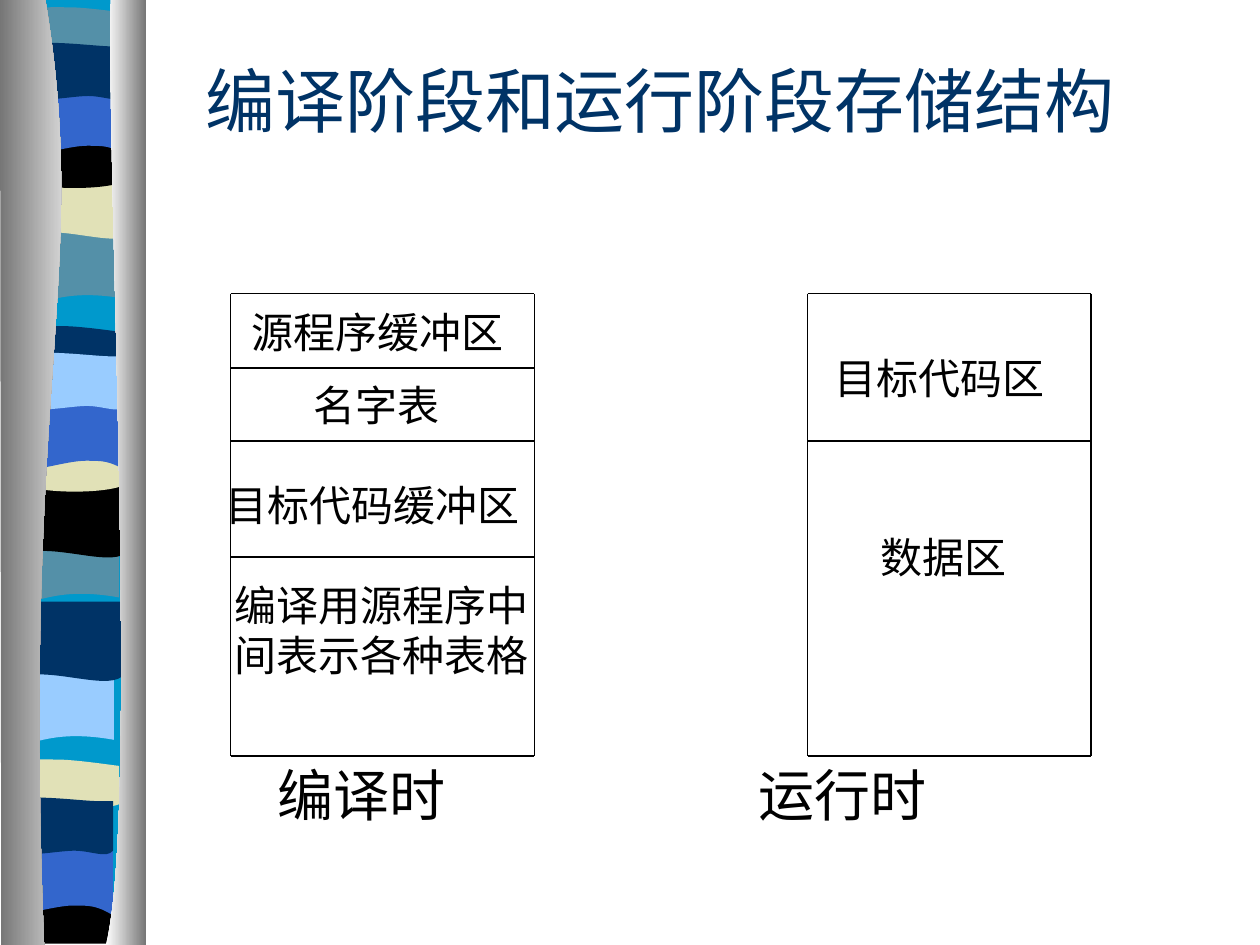
from lxml.etree import SubElement
from pptx import Presentation
from pptx.dml.color import RGBColor
from pptx.enum.shapes import MSO_CONNECTOR as Connector, MSO_SHAPE as Preset
from pptx.enum.text import MSO_ANCHOR as Anchor, PP_ALIGN as Align
from pptx.oxml.ns import qn
from pptx.util import Pt

PX = 9144
COLORS = {
    "cyan": "0099CC", "teal": "5490A8", "sand": "E1E1B7", "black": "000000",
    "blue": "3366CC", "navy": "003366", "sky": "99CCFF", "white": "FFFFFF",
    "gray": "767676",
}
FORMS = {
    "sag": [(108, 0), [(108, 47)], [(33, 39), (18, 55), (0, 47)], [(0, 0)]],
    "roll": [(108, 0), [(108, 47)], [(90, 55), (33, 41), (0, 47)], [(0, 0)]],
    "lens": [(108, 5), [(108, 29)], [(90, 33), (18, 33), (0, 29)], [(0, 5)],
             [(7, 0), (24, 1), (42, 1)], [(60, 1), (95, 4), (108, 5)]],
    "bowl": [(108, 0), [(108, 32)], [(90, 38), (19, 38), (0, 32)], [(0, 0)],
             [(67, 5), (86, 0), (108, 0)]],
    "arch": [(108, 0), [(108, 47)], [(91, 41), (84, 41), (66, 41)],
             [(48, 41), (16, 47), (0, 47)], [(0, 0)]],
    "wave": [(108, 5), [(108, 36)], [(101, 41), (85, 36), (67, 36)],
             [(49, 36), (11, 41), (0, 36)], [(0, 5)],
             [(15, 0), (74, 5), (92, 5)], [(110, 5), (105, 5), (108, 5)]],
    "base": [(108, 0), [(108, 37)], [(0, 37)], [(0, 0)],
             [(66, 5), (86, 0), (108, 0)]],
    "back": [(108, 0), [(108, 748)], [(0, 748)], [(0, 0)]],
    "left post": [(36, 0), [(72, 217), (17, 297), (35, 750)], [(1, 750)], [(0, 0)]],
    "right post": [(88, 0), [(84, 126), (111, 647), (84, 750)], [(116, 750)], [(116, 0)]],
}
BANDS = [
    ("sag", "teal", 5, 185), ("roll", "sand", 10, 134), ("lens", "teal", 10, 9),
    ("bowl", "black", 5, 108), ("arch", "blue", 6, 70), ("wave", "navy", 6, 36),
    ("sag", "teal", 0, 422), ("roll", "black", 5, 387), ("lens", "navy", 5, 262),
    ("bowl", "sand", 5, 349), ("arch", "blue", 5, 320), ("wave", "sky", 5, 282),
    ("sag", "sky", -4, 535), ("roll", "navy", 2, 485), ("lens", "sand", 0, 606),
    ("base", "black", 0, 712), ("arch", "blue", -5, 673), ("wave", "navy", -5, 635),
]
POSTS = [("left post", "gray", "white"), ("right post", "white", "gray")]
COLUMNS = [
    ((183, 233, 241, 367), (0, 150, 225, 241), (0, 334, 367), (0, 59, 117, 209, 367), [
        ("名字表", (66, 67, 100, 42)),
        ("目标代码缓冲区", (25, 134, 175, 67)),
        ("编译用源程序中\n间表示各种表格", (16, 217, 208, 100)),
        ("源程序缓冲区", (25, 9, 183, 42)),
    ]),
    ((641, 233, 225, 367), (0, 225), (0, 334, 367), (0, 117, 367), [
        ("目标代码区", (67, 25, 75, 83)),
        ("数据区", (58, 159, 100, 100)),
    ]),
]


def rgb(name):
    """Return the named colour."""
    return RGBColor.from_string(COLORS[name])


def emu(*lengths):
    """Turn px lengths into EMU."""
    return [round(length * PX) for length in lengths]


def bend(shape, segments):
    """Turn each run of three control points in the outline into a cubic curve."""
    outline = next(shape._element.iter(qn("a:path")))
    lines = iter(outline.findall(qn("a:lnTo")))
    for controls in segments:
        edges = [next(lines) for _ in controls]
        if len(edges) == 3:
            curve = SubElement(outline, qn("a:cubicBezTo"))
            edges[0].addprevious(curve)
            for edge in edges:
                curve.append(edge[0])
                outline.remove(edge)


def add_outline(page, form, left, top, stretch=(1, 1)):
    """Draw one named outline, stretched about its centre, without a line."""
    start, *segments = FORMS[form]
    points = [start] + [point for controls in segments for point in controls]
    middle = [max(axis) / 2 for axis in zip(*points)]
    spots = [emu(*(origin + mid + (value - mid) * ratio for origin, mid, value, ratio
                   in zip((left, top), middle, point, stretch))) for point in points]
    builder = page.shapes.build_freeform(*spots[0], scale=1.0)
    builder.add_line_segments(spots[1:], close=True)
    shape = builder.convert_to_shape()
    bend(shape, segments)
    shape.shadow.inherit = False
    shape.line.fill.background()
    return shape


def add_ribbon(page, left, top):
    """Draw the coloured bands between two shaded posts."""
    for form, color, x, y in [("back", "cyan", 6, 0), *BANDS]:
        stretch = (0.75, 1) if form in ("back", "base") else (0.75, 1.27)
        band = add_outline(page, form, left + x, top + y, stretch)
        band.fill.solid()
        band.fill.fore_color.rgb = rgb(color)
    for form, first, last in POSTS:
        post = add_outline(page, form, left, top)
        post.fill.gradient()
        post.fill.gradient_angle = 0
        for stop, color, position in zip(post.fill.gradient_stops, (first, last), (0, 1)):
            stop.color.rgb = rgb(color)
            stop.position = position


def add_text(page, text, box, insets, anchor, size, color, font, tab=None):
    """Place a line of text with left and bottom insets and an optional tab stop."""
    frame = page.shapes.add_textbox(*emu(*box)).text_frame
    frame.word_wrap = True
    frame.vertical_anchor = anchor
    frame.margin_right = frame.margin_top = 0
    frame.margin_left, frame.margin_bottom = emu(*insets)
    para = frame.paragraphs[0]
    para.text = text
    if tab:
        stops = SubElement(para._p.get_or_add_pPr(), qn("a:tabLst"))
        SubElement(stops, qn("a:tab"), pos=str(tab * PX), algn="l")
    para.font.size, para.font.name = Pt(size), font
    para.font.color.rgb = rgb(color)


def add_line(page, *ends):
    """Draw a thin black line."""
    line = page.shapes.add_connector(Connector.STRAIGHT, *emu(*ends))
    line.line.color.rgb = rgb("black")
    line.line.width = Pt(0.75)
    SubElement(line._element.spPr, qn("a:effectLst"))


def add_label(page, text, box):
    """Place a white block with centred text."""
    block = page.shapes.add_shape(Preset.RECTANGLE, *emu(*box))
    block.shadow.inherit = False
    block.fill.solid()
    block.fill.fore_color.rgb = block.line.color.rgb = rgb("white")
    block.line.width = Pt(0.75)
    frame = block.text_frame
    frame.word_wrap = False
    frame.vertical_anchor = Anchor.MIDDLE
    frame.text = text
    for para in frame.paragraphs:
        para.alignment = Align.CENTER
        para.font.size, para.font.name = Pt(24), "Times New Roman"
        para.font.color.rgb = rgb("black")


def add_column(page, box, across, down, rows, labels):
    """Draw one storage column with its ruled sections and labels."""
    left, top, width, height = box
    for x in (left, left + width):
        for begin, end in zip(down, down[1:]):
            add_line(page, x, top + begin, x, top + end)
    for y in rows:
        for begin, end in zip(across, across[1:]):
            add_line(page, left + begin, top + y, left + end, top + y)
    for text, (x, y, w, h) in labels:
        add_label(page, text, (left + x, top + y, w, h))


def main():
    """Build the slide and save it."""
    deck = Presentation()
    deck.slide_width, deck.slide_height = emu(1000, 750)
    page = deck.slides.add_slide(deck.slide_layouts[6])
    add_ribbon(page, 0, 0)
    add_text(page, "编译阶段和运行阶段存储结构", (128, 46, 850, 125), (35, 0),
             Anchor.TOP, 40, "navy", "Times New Roman")
    add_text(page, "编译时\t运行时", (169, 224, 732, 450), (51, 17),
             Anchor.BOTTOM, 32, "black", "Arial", tab=382)
    for column in COLUMNS:
        add_column(page, *column)
    deck.save("out.pptx")


if __name__ == "__main__":
    main()
